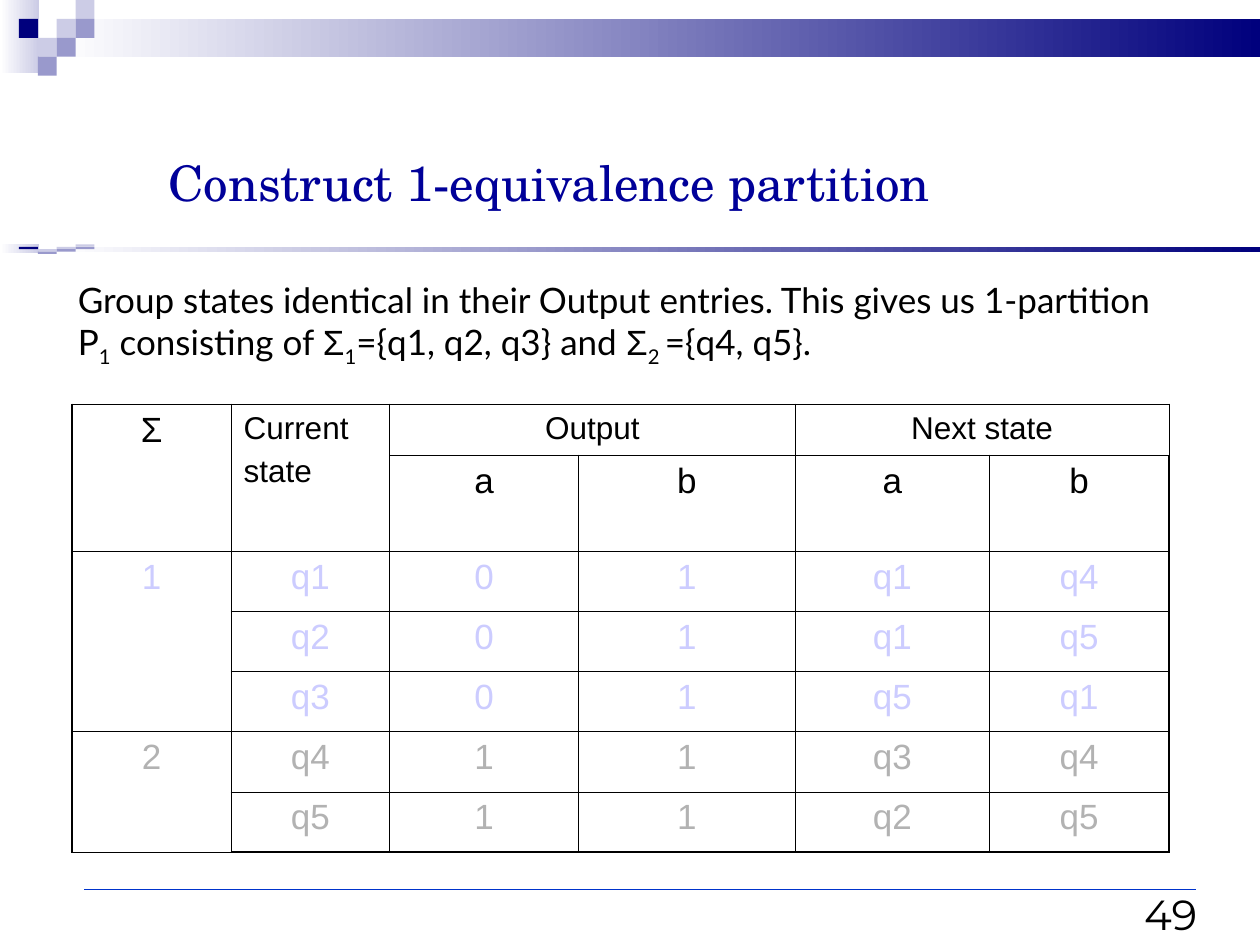
from lxml.etree import SubElement
from pptx import Presentation
from pptx.dml.color import RGBColor
from pptx.enum.shapes import MSO_CONNECTOR as Connector, MSO_SHAPE as Shape
from pptx.enum.text import MSO_ANCHOR as Anchor, PP_ALIGN as Align
from pptx.oxml.ns import qn
from pptx.util import Pt

COLORS = {"white": "FFFFFF", "navy": "00007D", "lilac": "CCCCE6", "violet": "9999CC",
          "title": "000099", "rule": "0033CC", "black": "000000",
          "class1": "CCCCFF", "class2": "B2B2B2"}
SLIDE_WIDTH, SLIDE_HEIGHT = 720, 540

TITLE = "Construct 1-equivalence partition"
PAGE = "49"
# (text, font, is subscript)
EXPLANATION = [
    ("Group states identical in their Output entries. This gives us 1-partition P", "Lato", False),
    ("1", "Lato", True), (" consisting of ", "Lato", False),
    ("Σ", "Arial", False), ("1", "Lato", True), ("={q1, q2, q3} and ", "Lato", False),
    ("Σ", "Arial", False), ("2 ", "Lato", True), ("={q4, q5}.", "Lato", False),
]

STATES = [
    ["Σ", "Current\nstate", "Output", "", "Next state", ""],
    ["", "", "a", "b", "a", "b"],
    ["1", "q1", "0", "1", "q1", "q4"],
    ["", "q2", "0", "1", "q1", "q5"],
    ["", "q3", "0", "1", "q5", "q1"],
    ["2", "q4", "1", "1", "q3", "q4"],
    ["", "q5", "1", "1", "q2", "q5"],
]
ROW_COLORS = ["black"] * 2 + ["class1"] * 3 + ["class2"] * 2
MERGES = [((0, 0), (1, 0)), ((0, 1), (1, 1)), ((0, 2), (0, 3)), ((0, 4), (0, 5)),
          ((2, 0), (4, 0)), ((5, 0), (6, 0))]
COLUMN_WIDTHS = [90.7, 90.7, 108, 123.8, 110.9, 102.6]
ROW_HEIGHTS = [28.8, 54.7] + [34.4] * 5
TABLE_LEFT, TABLE_TOP = 41.3, 231.2
OUTER_BORDER, INNER_BORDER = 1.08, 0.45

# Mosaic squares: (column, row, colour)
MOSAIC = [(3, 1, "lilac"), (4, 0, "lilac"), (4, 1, "violet"), (2, 2, "lilac"),
          (1, 1, "navy"), (3, 2, "violet"), (2, 3, "violet")]
MOSAIC_STEP = 10.8
# (top, height of one mosaic row)
BANDS = [(0, 10.8), (139.7, 1.35)]


def rgb(name):
    return RGBColor.from_string(COLORS[name])


def add_block(slide, left, top, width, height, color, fade=False):
    block = slide.shapes.add_shape(Shape.RECTANGLE, Pt(left), Pt(top), Pt(width), Pt(height))
    block.shadow.inherit = False
    block.line.fill.background()
    if fade:
        block.fill.gradient()
        block.fill.gradient_angle = 0
        for stop, name in zip(block.fill.gradient_stops, ("white", color)):
            stop.color.rgb = rgb(name)
    else:
        block.fill.solid()
        block.fill.fore_color.rgb = rgb(color)


def add_band(slide, top, step):
    band_left = 3 * MOSAIC_STEP
    add_block(slide, 0, top, 22.3, 3.87 * step, "lilac", fade=True)
    add_block(slide, band_left, top + step, SLIDE_WIDTH - band_left, 2 * step, "navy", fade=True)
    for column, row, color in MOSAIC:
        add_block(slide, column * MOSAIC_STEP, top + row * step, MOSAIC_STEP, step, color)


def set_font(paragraph, size, color, name=None):
    paragraph.font.size = Pt(size)
    paragraph.font.color.rgb = rgb(color)
    if name:
        paragraph.font.name = name


def add_text(slide, left, top, width, height, anchor=Anchor.TOP):
    """Return the first paragraph of a new wrapping text box."""
    frame = slide.shapes.add_textbox(Pt(left), Pt(top), Pt(width), Pt(height)).text_frame
    frame.word_wrap = True
    frame.vertical_anchor = anchor
    return frame.paragraphs[0]


def add_footer_rule(slide):
    rule = slide.shapes.add_connector(Connector.STRAIGHT, Pt(48.2), Pt(508.2), Pt(683.3), Pt(508.2))
    rule.line.color.rgb = rgb("rule")
    rule.line.width = Pt(0.75)
    SubElement(rule._element.spPr, qn("a:effectLst"))


def set_borders(cell, row, column):
    last_row, last_column = len(STATES) - 1, len(COLUMN_WIDTHS) - 1
    outer_edges = {"L": column == 0, "R": column == last_column,
                   "T": row == 0, "B": row == last_row}
    properties = cell._tc.get_or_add_tcPr()
    for side, is_outer in outer_edges.items():
        width = Pt(OUTER_BORDER if is_outer else INNER_BORDER)
        border = SubElement(properties, qn(f"a:ln{side}"), w=str(width))
        SubElement(SubElement(border, qn("a:solidFill")), qn("a:srgbClr"), val=COLORS["black"])


def add_state_table(slide):
    table = slide.shapes.add_table(
        len(STATES), len(COLUMN_WIDTHS), Pt(TABLE_LEFT), Pt(TABLE_TOP),
        Pt(sum(COLUMN_WIDTHS)), Pt(sum(ROW_HEIGHTS))).table
    table.first_row = table.horz_banding = False
    for column, width in zip(table.columns, COLUMN_WIDTHS):
        column.width = Pt(width)
    for row, height in zip(table.rows, ROW_HEIGHTS):
        row.height = Pt(height)
    for start, end in MERGES:
        table.cell(*start).merge(table.cell(*end))

    for r, values in enumerate(STATES):
        for c, value in enumerate(values):
            cell = table.cell(r, c)
            set_borders(cell, r, c)
            cell.fill.background()
            cell.text = value
            size = 18 if r == 0 and c > 0 else 20
            for i, paragraph in enumerate(cell.text_frame.paragraphs):
                paragraph.alignment = Align.LEFT if "\n" in value else Align.CENTER
                if i:
                    paragraph.space_before = Pt(4.5)
                set_font(paragraph, size, ROW_COLORS[r], "Arial")


def main():
    deck = Presentation()
    deck.slide_width, deck.slide_height = Pt(SLIDE_WIDTH), Pt(SLIDE_HEIGHT)
    slide = deck.slides.add_slide(deck.slide_layouts[6])

    for top, step in BANDS:
        add_band(slide, top, step)
    add_footer_rule(slide)

    page = add_text(slide, 637.9, 499, 53.3, 41, Anchor.BOTTOM)
    page.text = PAGE
    page.alignment = Align.RIGHT
    set_font(page, 24, "black", "Montserrat")

    title = add_text(slide, 89.3, 78.5, 613.4, 51.1, Anchor.MIDDLE)
    title.text = TITLE
    set_font(title, 28, "title", "TeX Gyre Schola")

    explanation = add_text(slide, 37.4, 155.5, 635.8, 59)
    set_font(explanation, 20, "black")
    for text, font, is_subscript in EXPLANATION:
        run = explanation.add_run()
        run.text = text
        run.font.name = font
        if is_subscript:
            run.font._element.set("baseline", "-25000")

    add_state_table(slide)
    deck.save("out.pptx")


if __name__ == "__main__":
    main()
